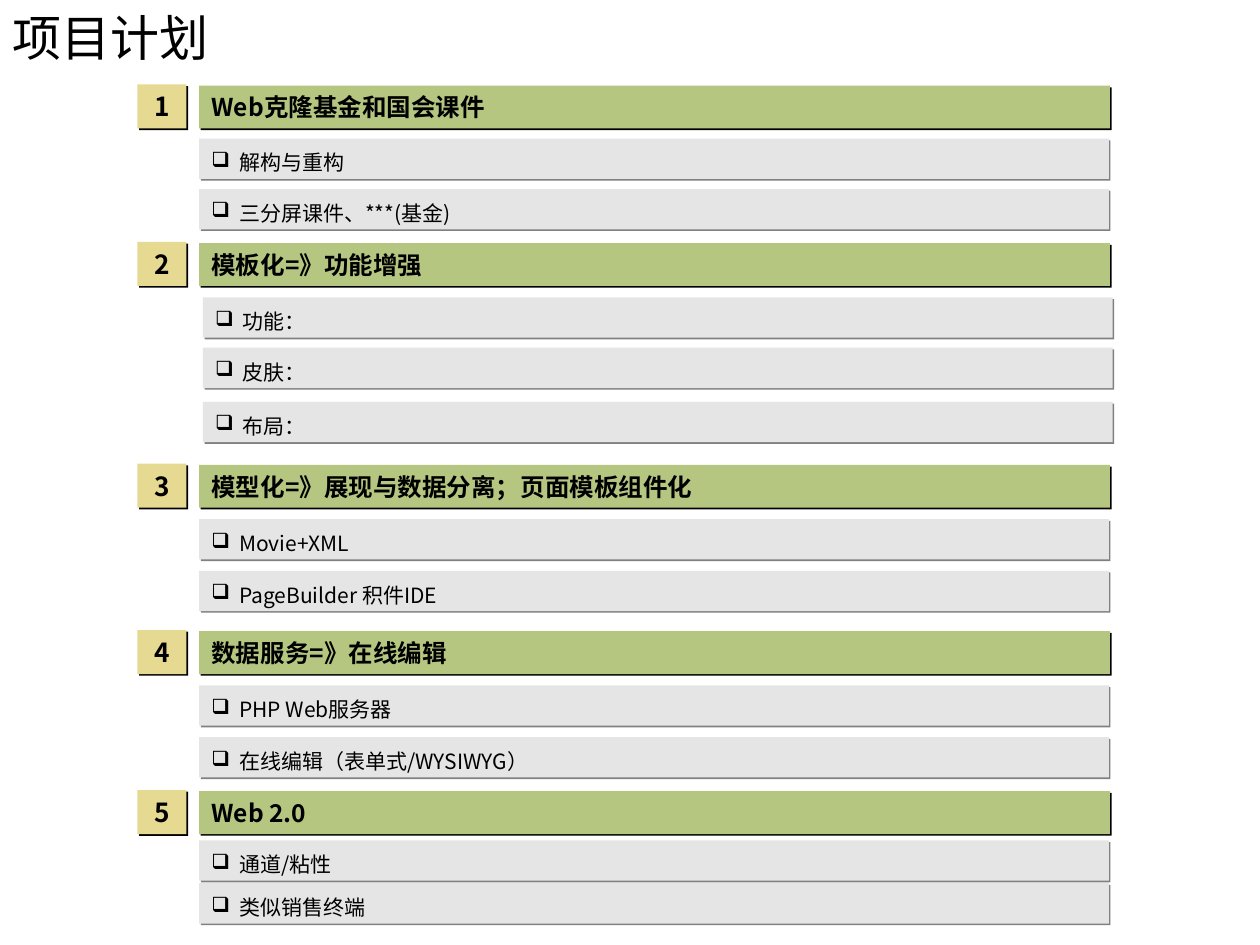
import dataclasses

import lxml.etree
import pptx
import pptx.dml.color
import pptx.enum.shapes
import pptx.enum.text
import pptx.oxml.ns
import pptx.util
from pptx.util import Inches

ALIGN = pptx.enum.text.PP_ALIGN


@dataclasses.dataclass(frozen=True)
class Theme:
    """Colours, fonts and type sizes of the plan."""
    ink: str = "000000"
    badge: str = "E6DA92"
    header: str = "B5C680"
    item: str = "E5E5E5"
    item_shadow: str = "808080"
    title_font: str = "Arial"
    header_font: str = "Noto Sans CJK SC"
    body_font: str = "Noto Sans CJK KR"
    title_size: int = 28
    badge_size: int = 15
    header_size: int = 14
    item_size: int = 12


@dataclasses.dataclass(frozen=True)
class Section:
    """A heading with its items, placed relative to the heading."""
    top: float
    heading: str
    items: tuple
    offsets: tuple
    indent: float = 0


THEME = Theme()
PLAN_LEFT, PLAN_WIDTH = 1.09, 7.72
BAR_SHIFT = 0.49

SECTIONS = (
    Section(0.68, "Web克隆基金和国会课件",
            ("解构与重构", "三分屏课件、***(基金)"), (0.42, 0.82)),
    Section(1.93, "模板化=》功能增强",
            ("功能：", "皮肤：", "布局："), (0.43, 0.83, 1.26), 0.03),
    Section(3.69, "模型化=》展现与数据分离；页面模板组件化",
            ("Movie+XML", "PageBuilder 积件IDE"), (0.43, 0.84)),
    Section(5.01, "数据服务=》在线编辑",
            ("PHP Web服务器", "在线编辑（表单式/WYSIWYG）"), (0.43, 0.84)),
    Section(6.28, "Web 2.0",
            ("通道/粘性", "类似销售终端"), (0.39, 0.73)),
)


def add_element(parent, tag, **attributes):
    """Append a drawing element and return it."""
    return lxml.etree.SubElement(parent, pptx.oxml.ns.qn(tag), attributes)


def write(frame, text, size, font, east_font, bold=False, align=ALIGN.LEFT):
    """Write one formatted paragraph, vertically centred, and return it."""
    frame.text = text
    frame.vertical_anchor = pptx.enum.text.MSO_ANCHOR.MIDDLE
    para = frame.paragraphs[0]
    para.alignment = align
    for span in para.runs:
        span.font.size = pptx.util.Pt(size)
        span.font.bold = bold
        span.font.name = font
        span.font.color.rgb = pptx.dml.color.RGBColor.from_string(THEME.ink)
        add_element(span.font._element, "a:ea", typeface=east_font)
    return para


def add_bar(page, left, top, width, height, fill, shadow):
    """Draw a borderless bar with a hard shadow to the lower right."""
    bar = page.shapes.add_shape(
        pptx.enum.shapes.MSO_SHAPE.RECTANGLE,
        Inches(left), Inches(top), Inches(width), Inches(height))
    bar.fill.solid()
    bar.fill.fore_color.rgb = pptx.dml.color.RGBColor.from_string(fill)
    bar.line.fill.background()
    bar.shadow.inherit = False
    effects = bar._element.spPr.find(pptx.oxml.ns.qn("a:effectLst"))
    outer = add_element(effects, "a:outerShdw", blurRad="0",
                        dist=str(pptx.util.Pt(1.4)), dir="2700000",
                        algn="ctr", rotWithShape="0")
    add_element(outer, "a:srgbClr", val=shadow)
    return bar


def add_title(page, text, left, top, width, height):
    """Place the title placeholder and write it."""
    title = page.shapes.title
    title.left, title.top = Inches(left), Inches(top)
    title.width, title.height = Inches(width), Inches(height)
    title.text_frame.auto_size = pptx.enum.text.MSO_AUTO_SIZE.NONE
    write(title.text_frame, text, THEME.title_size, THEME.title_font,
          THEME.header_font)


def add_item(page, text, left, top, width):
    """Draw one bulleted item bar."""
    bar = add_bar(page, left, top, width, 0.32, THEME.item, THEME.item_shadow)
    bar.text_frame.word_wrap = False
    para = write(bar.text_frame, text, THEME.item_size, THEME.body_font,
                 THEME.body_font)
    properties = para._p.get_or_add_pPr()
    properties.set("marL", str(Inches(0.22)))
    properties.set("indent", str(Inches(-0.22)))
    colour = add_element(properties, "a:buClr")
    add_element(colour, "a:srgbClr", val=THEME.ink)
    add_element(properties, "a:buChar", char="❑")
    para.line_spacing = 1.3


def add_section(page, number, section, left, width):
    """Draw the number badge, the heading bar and the items of a section."""
    badge = add_bar(page, left, section.top - 0.01, 0.39, 0.35,
                    THEME.badge, THEME.ink)
    write(badge.text_frame, str(number), THEME.badge_size, THEME.body_font,
          THEME.body_font, bold=True, align=ALIGN.CENTER)
    bar_left, bar_width = left + BAR_SHIFT, width - BAR_SHIFT
    header = add_bar(page, bar_left, section.top, bar_width, 0.34,
                     THEME.header, THEME.ink)
    write(header.text_frame, section.heading, THEME.header_size,
          THEME.header_font, THEME.header_font, bold=True)
    for text, offset in zip(section.items, section.offsets):
        add_item(page, text, bar_left + section.indent, section.top + offset,
                 bar_width - 0.01)


def main():
    """Build and save the project plan."""
    deck = pptx.Presentation()
    deck.slide_width, deck.slide_height = Inches(10), Inches(7.5)
    page = deck.slides.add_slide(deck.slide_layouts[5])
    add_title(page, "项目计划", 0, 0, 9, 0.58)
    for number, section in enumerate(SECTIONS, 1):
        add_section(page, number, section, PLAN_LEFT, PLAN_WIDTH)
    deck.save("out.pptx")


if __name__ == "__main__":
    main()
